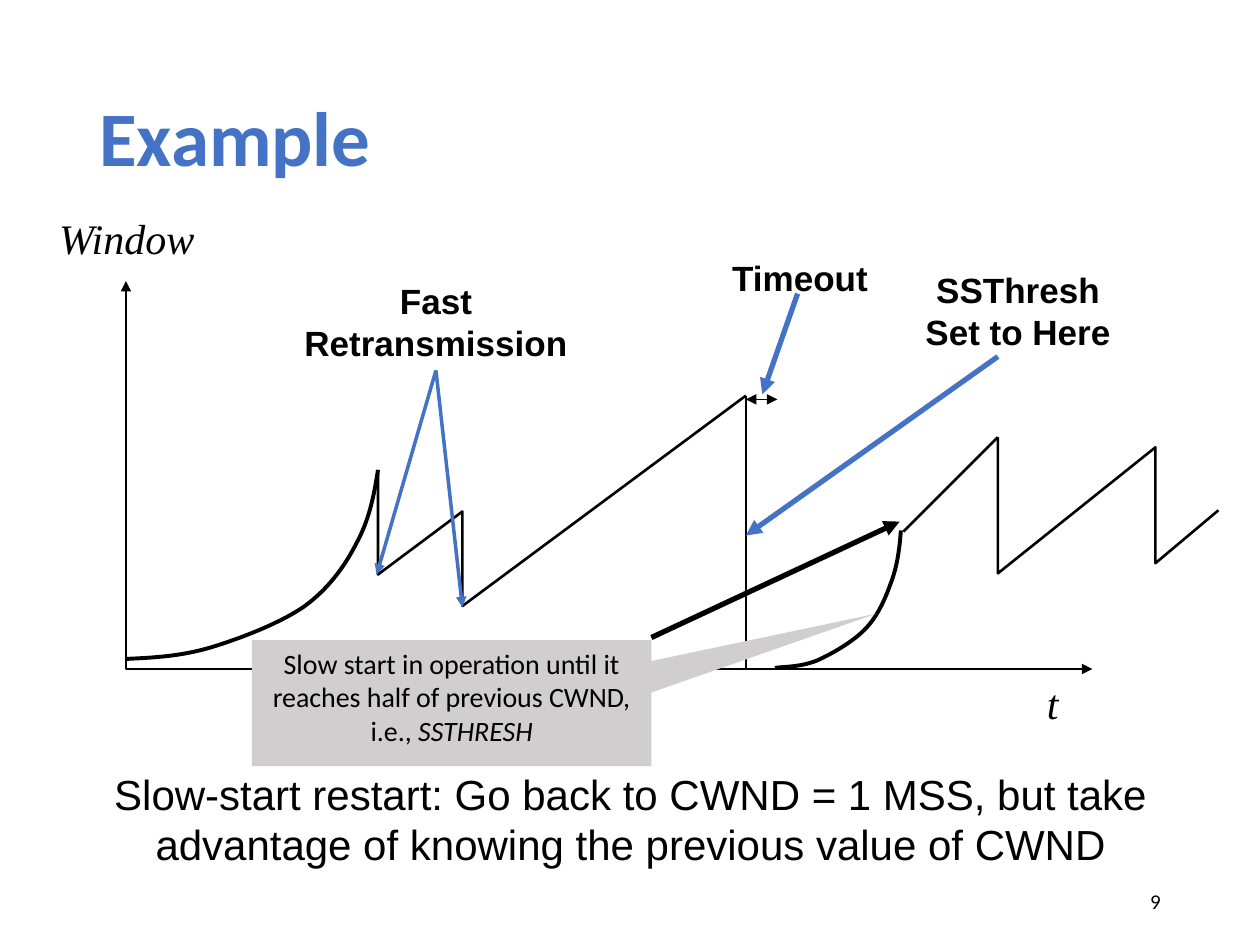
from lxml import etree
from pptx import Presentation
from pptx.dml.color import RGBColor
from pptx.enum.shapes import MSO_CONNECTOR, MSO_SHAPE
from pptx.enum.text import MSO_ANCHOR, PP_ALIGN
from pptx.oxml.ns import qn
from pptx.util import Inches, Pt

STRAIGHT = MSO_CONNECTOR.STRAIGHT
CALLOUT = MSO_SHAPE.RECTANGULAR_CALLOUT
TOP, MIDDLE = MSO_ANCHOR.TOP, MSO_ANCHOR.MIDDLE
LEFT, CENTER, RIGHT = PP_ALIGN.LEFT, PP_ALIGN.CENTER, PP_ALIGN.RIGHT
BLACK = RGBColor(0x00, 0x00, 0x00)
BLUE = RGBColor(0x44, 0x72, 0xC4)
GRAY = RGBColor(0xD0, 0xCE, 0xCE)
BOTTOM_SIDE = 2

# Positions are in inches.
AXES = [(1, 2.23), (1, 5.31), (8.67, 5.31)]
SAWTEETH = [
    [(3, 3.73), (3, 4.56), (3.67, 4.06), (3.67, 4.81), (5.92, 3.14)],
    [(7.92, 3.47), (7.92, 4.55), (9.17, 3.55), (9.17, 4.47), (9.67, 4.05)],
]
# Each curve is a start point, then three Bezier points per segment.
SLOW_STARTS = [
    [(3, 3.73), (2.97, 3.93), (2.93, 4.13), (2.83, 4.31),
     (2.74, 4.49), (2.61, 4.67), (2.42, 4.81),
     (2.22, 4.95), (1.9, 5.07), (1.67, 5.14),
     (1.43, 5.21), (1.22, 5.22), (1, 5.23)],
    [(7.15, 4.21), (7.14, 4.36), (7.12, 4.5), (7.07, 4.63),
     (7.02, 4.77), (6.96, 4.9), (6.86, 5),
     (6.76, 5.1), (6.6, 5.19), (6.49, 5.24),
     (6.37, 5.29), (6.26, 5.29), (6.15, 5.3)],
]
WINDOW_LINES = [((5.92, 3.14), (5.92, 5.31)), ((7.17, 4.22), (7.92, 3.47))]
POINTERS = [
    ((5.17, 5.06), (7.14, 4.14), BLACK),
    ((6.33, 2.33), (6.05, 3.13), BLUE),
    ((7.92, 2.83), (5.92, 4.25), BLUE),
]
TIMEOUT_SPAN = ((5.92, 3.17), (6.17, 3.17))
LOSSES = [(2.99, 4.56), (3.67, 4.82)]

AXIS_STYLE = {"font": "Times New Roman", "size": 24, "italic": True, "wrap": False}
LABEL_STYLE = {"size": 20, "bold": True, "align": CENTER}
TEXTS = [
    ("Example", (0.69, 0.4, 8.62, 1.45),
     {"font": "Calibri", "size": 44, "color": BLUE, "bold": True,
      "anchor": MIDDLE, "spacing": 0.9}),
    ("t", (8.21, 5.33, 0.29, 0.5), AXIS_STYLE),
    ("Window", (0.37, 1.64, 1.29, 0.5), AXIS_STYLE),
    ("Slow-start restart: Go back to CWND = 1 MSS, but take advantage of "
     "knowing the previous value of CWND",
     (0.72, 6.05, 8.57, 0.91), {"size": 24, "align": CENTER}),
    ("Timeout", (5.58, 1.99, 1.54, 0.43), LABEL_STYLE),
    ("SSThresh\nSet to Here", (7.08, 2.08, 2, 0.77), LABEL_STYLE),
    ("9", (7.06, 6.95, 2.25, 0.4),
     {"font": "Calibri", "size": 12, "align": RIGHT, "anchor": MIDDLE}),
]
FAST_RETRANSMISSION = ("Fast Retransmission", (2.17, 2.17, 2.58, 0.77))
SLOW_START_NOTE = "Slow start in operation until it reaches half of previous CWND, i.e., "


def write(shape, text, font="Arial", size=20, color=BLACK, bold=False,
          italic=False, align=LEFT, anchor=TOP, wrap=True, spacing=None):
    frame = shape.text_frame
    frame.word_wrap = wrap
    frame.vertical_anchor = anchor
    frame.text = text
    for para in frame.paragraphs:
        para.alignment = align
        if spacing:
            para.line_spacing = spacing
        for span in para.runs:
            span.font.name = font
            span.font.size = Pt(size)
            span.font.color.rgb = color
            span.font.bold = bold
            span.font.italic = italic


def add_text(page, text, area, **style):
    box = page.shapes.add_textbox(*map(Inches, area))
    write(box, text, **style)
    return box


def style_line(shape, color, width, ends):
    """Set the stroke; ends names the arrowheads, such as headEnd."""
    shape.line.color.rgb = color
    shape.line.width = Pt(width)
    for end in ends:
        etree.SubElement(shape.line._get_or_add_ln(), qn(f"a:{end}"), type="triangle")


def add_line(page, start, finish, color=BLACK, width=1.5, ends=()):
    line = page.shapes.add_connector(
        STRAIGHT, *map(Inches, (*start, *finish)))
    style_line(line, color, width, ends)
    etree.SubElement(line._element.spPr, qn("a:effectLst"))
    return line


def add_outline(page, points, width=1.5, ends=()):
    points = [(Inches(x), Inches(y)) for x, y in points]
    builder = page.shapes.build_freeform(*points[0])
    builder.add_line_segments(points[1:], close=False)
    outline = builder.convert_to_shape()
    outline.fill.background()
    outline.shadow.inherit = False
    style_line(outline, BLACK, width, ends)
    return outline


def bend(outline):
    """Turn every three line segments into one cubic Bezier segment."""
    segments = list(outline._element.iter(qn("a:lnTo")))
    for first in range(0, len(segments), 3):
        curve = etree.Element(qn("a:cubicBezTo"))
        segments[first].addprevious(curve)
        for segment in segments[first:first + 3]:
            curve.append(segment[0])
            segment.getparent().remove(segment)


def add_callout(page):
    callout = page.shapes.add_shape(CALLOUT, *map(Inches, (2, 5.08, 3.17, 1)))
    callout.adjustments[0] = 1.064
    callout.adjustments[1] = -0.71
    callout.shadow.inherit = False
    callout.fill.solid()
    callout.fill.fore_color.rgb = GRAY
    callout.line.fill.background()
    write(callout, SLOW_START_NOTE, font="Calibri", size=16, align=CENTER)
    span = callout.text_frame.paragraphs[0].add_run()
    span.text = "SSTHRESH"
    span.font.name = "Calibri"
    span.font.size = Pt(16)
    span.font.color.rgb = BLACK
    span.font.italic = True


def main():
    deck = Presentation()
    deck.slide_width, deck.slide_height = Inches(10), Inches(7.5)
    page = deck.slides.add_slide(deck.slide_layouts[6])

    add_outline(page, AXES, ends=("headEnd", "tailEnd"))
    for points in SLOW_STARTS:
        bend(add_outline(page, points, width=2.25))
    for points in SAWTEETH:
        add_outline(page, points)
    for start, finish in WINDOW_LINES:
        add_line(page, start, finish)
    add_callout(page)

    for text, area, style in TEXTS:
        add_text(page, text, area, **style)
    for start, finish, color in POINTERS:
        add_line(page, start, finish, color, 3, ["tailEnd"])
    add_line(page, *TIMEOUT_SPAN, width=0.75, ends=("headEnd", "tailEnd"))

    label = add_text(page, *FAST_RETRANSMISSION, **LABEL_STYLE)
    for loss in LOSSES:
        arrow = add_line(page, (3.46, 2.94), loss, BLUE, 2, ["tailEnd"])
        arrow.begin_connect(label, BOTTOM_SIDE)

    deck.save("out.pptx")


if __name__ == "__main__":
    main()
